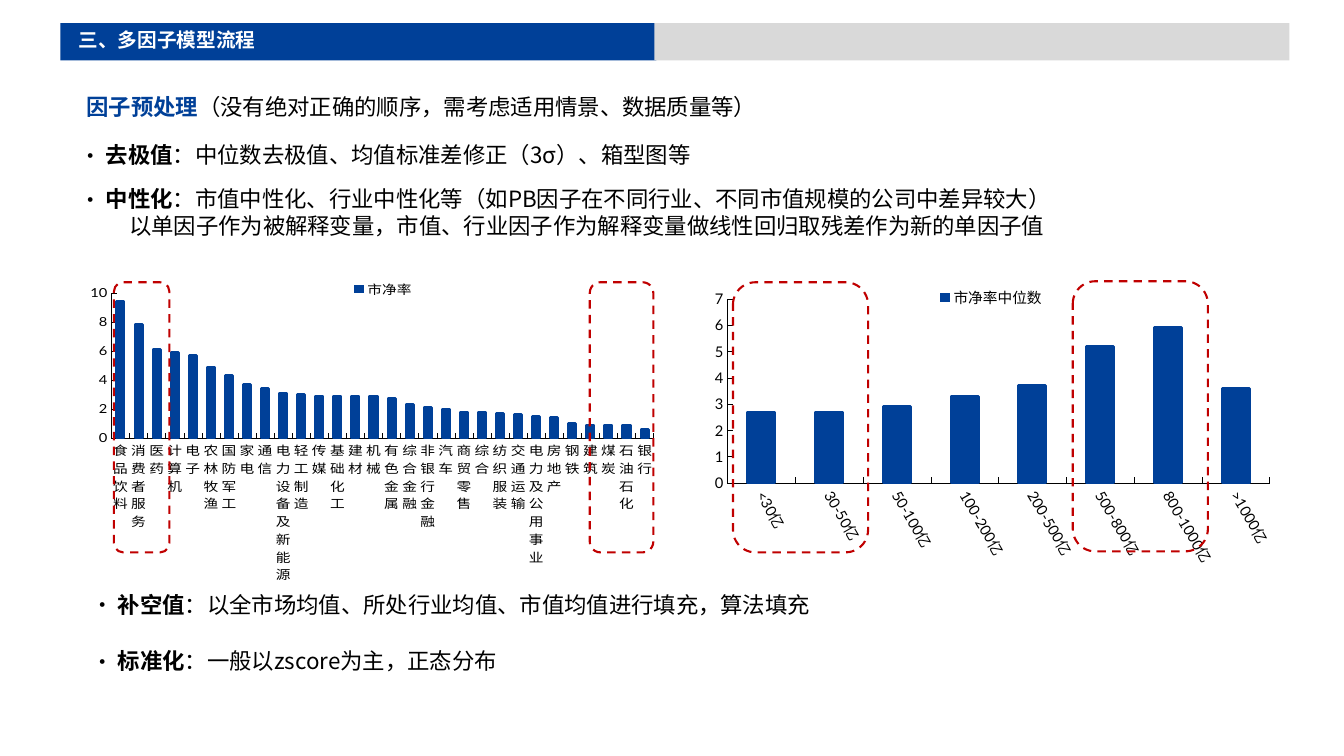
import lxml.etree
import pptx
import pptx.chart.data
import pptx.dml.color
import pptx.enum.chart
import pptx.enum.dml
import pptx.enum.shapes
import pptx.enum.text
import pptx.oxml.ns
import pptx.util

EMU_PER_PX = 9144  # 100 px to the inch
THEME = dict(blue="004098", gray="D9D9D9", red="C00000", black="000000", white="FFFFFF",
             font="Noto Sans CJK SC", chart_font="Lato",
             title=14, body=16, chart=10.5, leading=1.2)

qn = pptx.oxml.ns.qn
rgb = pptx.dml.color.RGBColor.from_string
Pt = pptx.util.Pt
SHAPE = pptx.enum.shapes.MSO_SHAPE


def px(*lengths):
    return [pptx.util.Emu(n * EMU_PER_PX) for n in lengths]


def write(p, text, size="body", color="black", bold=False, bullet=None, indent=0, before=0):
    """Append one run to a paragraph and set the paragraph's format."""
    pPr = p._p.get_or_add_pPr()
    if not p.runs:
        margin = px(indent)[0]
        pPr.set("marL", str(margin))
        pPr.set("indent", str(-margin if bullet else 0))
        if bullet:
            lxml.etree.SubElement(pPr, qn("a:buFont"), typeface=THEME["font"])
            lxml.etree.SubElement(pPr, qn("a:buChar"), char=bullet)
        else:
            lxml.etree.SubElement(pPr, qn("a:buNone"))
        p.alignment = pptx.enum.text.PP_ALIGN.LEFT
        p.line_spacing = Pt(THEME[size] * THEME["leading"])
        p.space_before, p.space_after = Pt(before), Pt(0)
    r = p.add_run()
    r.text = text
    r.font.size, r.font.bold = Pt(THEME[size]), bold
    r.font.color.rgb = rgb(THEME[color])
    r.font.name = THEME["font"]
    lxml.etree.SubElement(r._r.get_or_add_rPr(), qn("a:ea"), typeface=THEME["font"])


prs = pptx.Presentation()
prs.slide_width, prs.slide_height = px(1333, 750)
s = prs.slides.add_slide(prs.slide_layouts[3])
title, upper_list, lower_list = s.placeholders
subtitle = s.shapes.add_textbox(*px(76, 87, 1166, 37))

for sp, box in [(title, (68, 23, 362, 34)), (subtitle, (76, 87, 1166, 37)),
                (upper_list, (69, 135, 1195, 108)), (lower_list, (81, 581, 1195, 93))]:
    sp.left, sp.top, sp.width, sp.height = px(*box)
    tf = sp.text_frame
    tf.word_wrap = True
    tf.auto_size = pptx.enum.text.MSO_AUTO_SIZE.NONE
    tf.vertical_anchor = pptx.enum.text.MSO_ANCHOR.TOP
    tf.margin_left, tf.margin_top, tf.margin_right, tf.margin_bottom = px(10, 5, 10, 5)

write(title.text_frame.paragraphs[0], "三、多因子模型流程", size="title", color="white", bold=True)
p = subtitle.text_frame.paragraphs[0]
write(p, "因子预处理", color="blue", bold=True)
write(p, "（没有绝对正确的顺序，需考虑适用情景、数据质量等）")

LISTS = [
    (upper_list, 12.5, [
        ("去极值", "：中位数去极值、均值标准差修正（3σ）、箱型图等"),
        ("中性化", "：市值中性化、行业中性化等（如PB因子在不同行业、不同市值规模的公司中差异较大）")]),
    (lower_list, 21, [
        ("补空值", "：以全市场均值、所处行业均值、市值均值进行填充，算法填充"),
        ("标准化", "：一般以zscore为主，正态分布")]),
]
for sp, gap, items in LISTS:
    tf = sp.text_frame
    for i, (term, detail) in enumerate(items):
        p = tf.add_paragraph() if i else tf.paragraphs[0]
        write(p, term, bold=True, bullet="·", indent=26, before=gap if i else 0)
        write(p, detail)
write(upper_list.text_frame.add_paragraph(),
      "以单因子作为被解释变量，市值、行业因子作为解释变量做线性回归取残差作为新的单因子值", indent=49)

INDUSTRIES = {
    "食品饮料": 9.4, "消费者服务": 7.8, "医药": 6.1, "计算机": 5.9, "电子": 5.7, "农林牧渔": 4.9,
    "国防军工": 4.3, "家电": 3.7, "通信": 3.4, "电力设备及新能源": 3.1, "轻工制造": 3, "传媒": 2.9,
    "基础化工": 2.9, "建材": 2.9, "机械": 2.9, "有色金属": 2.7, "综合金融": 2.3, "非银行金融": 2.1,
    "汽车": 2, "商贸零售": 1.8, "综合": 1.8, "纺织服装": 1.7, "交通运输": 1.6, "电力及公用事业": 1.5,
    "房地产": 1.4, "钢铁": 1, "建筑": 0.9, "煤炭": 0.9, "石油石化": 0.9, "银行": 0.6}
MARKET_CAPS = {
    "<30亿": 2.7, "30-50亿": 2.7, "50-100亿": 2.9, "100-200亿": 3.3,
    "200-500亿": 3.7, "500-800亿": 5.2, "800-1000亿": 5.9, ">1000亿": 3.6}
CHARTS = [
    dict(name="市净率", data=INDUSTRIES, box=(81, 264, 591, 315), top=10, step=2,
         labels=dict(rot="0", vert="wordArtVert"),
         plot=dict(x=0.05, y=0.1, w=0.91, h=0.54), legend=dict(x=0.45, y=0.04)),
    dict(name="市净率中位数", data=MARKET_CAPS, box=(686, 265, 591, 315), top=7, step=1,
         labels=dict(rot="3600000", vert="horz"),
         plot=dict(x=0.06, y=0.1, w=0.91, h=0.58), legend=dict(x=0.41, y=0.05)),
]
for c in CHARTS:
    data = pptx.chart.data.CategoryChartData()
    data.categories = list(c["data"])
    data.add_series(c["name"], list(c["data"].values()))
    chart = s.shapes.add_chart(pptx.enum.chart.XL_CHART_TYPE.COLUMN_CLUSTERED,
                               *px(*c["box"]), data).chart
    chart.has_title = False
    chart.font.size, chart.font.name = Pt(THEME["chart"]), THEME["chart_font"]
    chart.font.color.rgb = rgb(THEME["black"])
    chart.has_legend = True
    chart.legend.position = pptx.enum.chart.XL_LEGEND_POSITION.RIGHT
    chart.legend.include_in_layout = False

    bars = chart.plots[0]
    bars.gap_width, bars.vary_by_categories = 150, False
    fmt = bars.series[0].format
    fmt.fill.solid()
    fmt.fill.fore_color.rgb = fmt.line.color.rgb = rgb(THEME["blue"])
    fmt.line.width = Pt(2)

    for axis in (chart.category_axis, chart.value_axis):
        axis.has_major_gridlines = False
        axis.major_tick_mark = pptx.enum.chart.XL_TICK_MARK.INSIDE
        axis.minor_tick_mark = pptx.enum.chart.XL_TICK_MARK.NONE
        axis.format.line.color.rgb = rgb(THEME["black"])
        axis.format.line.width = Pt(0.25)
        axis.tick_labels.font.size = Pt(THEME["chart"])
    chart.value_axis.minimum_scale, chart.value_axis.maximum_scale = 0, c["top"]
    chart.value_axis.major_unit = c["step"]
    label_body = chart.category_axis._element.find(qn("c:txPr")).find(qn("a:bodyPr"))
    for key, val in c["labels"].items():
        label_body.set(key, val)

    plot_area = chart._chartSpace.chart.plotArea
    for parent, index, place in [(plot_area, 0, c["plot"]),
                                 (chart.legend._element, 1, c["legend"])]:
        for old in parent.findall(qn("c:layout")):
            parent.remove(old)
        layout = lxml.etree.Element(qn("c:layout"))
        manual = lxml.etree.SubElement(layout, qn("c:manualLayout"))
        if parent is plot_area:
            lxml.etree.SubElement(manual, qn("c:layoutTarget"), val="inner")
        for mode in ("xMode", "yMode"):
            lxml.etree.SubElement(manual, qn("c:" + mode), val="edge")
        for key, val in place.items():
            lxml.etree.SubElement(manual, qn("c:" + key), val=str(val))
        parent.insert(index, layout)

BANNERS = [((60, 23, 591, 37), "blue"), ((649, 23, 630, 37), "gray")]
FRAMES = [(113, 280, 55, 268), (585, 280, 63, 268), (727, 280, 134, 268), (1064, 279, 134, 268)]
for box, color in BANNERS:
    sp = s.shapes.add_shape(SHAPE.RECTANGLE, *px(*box))
    sp.shadow.inherit = False
    sp.fill.solid()
    sp.fill.fore_color.rgb = rgb(THEME[color])
    sp.line.fill.background()
for box in FRAMES:
    sp = s.shapes.add_shape(SHAPE.ROUNDED_RECTANGLE, *px(*box))
    sp.shadow.inherit = False
    sp.fill.background()
    sp.line.color.rgb = rgb(THEME["red"])
    sp.line.width = Pt(1.5)
    sp.line.dash_style = pptx.enum.dml.MSO_LINE.DASH
s.shapes._spTree.append(title._element)  # title text sits on top of the banner

prs.save("out.pptx")
